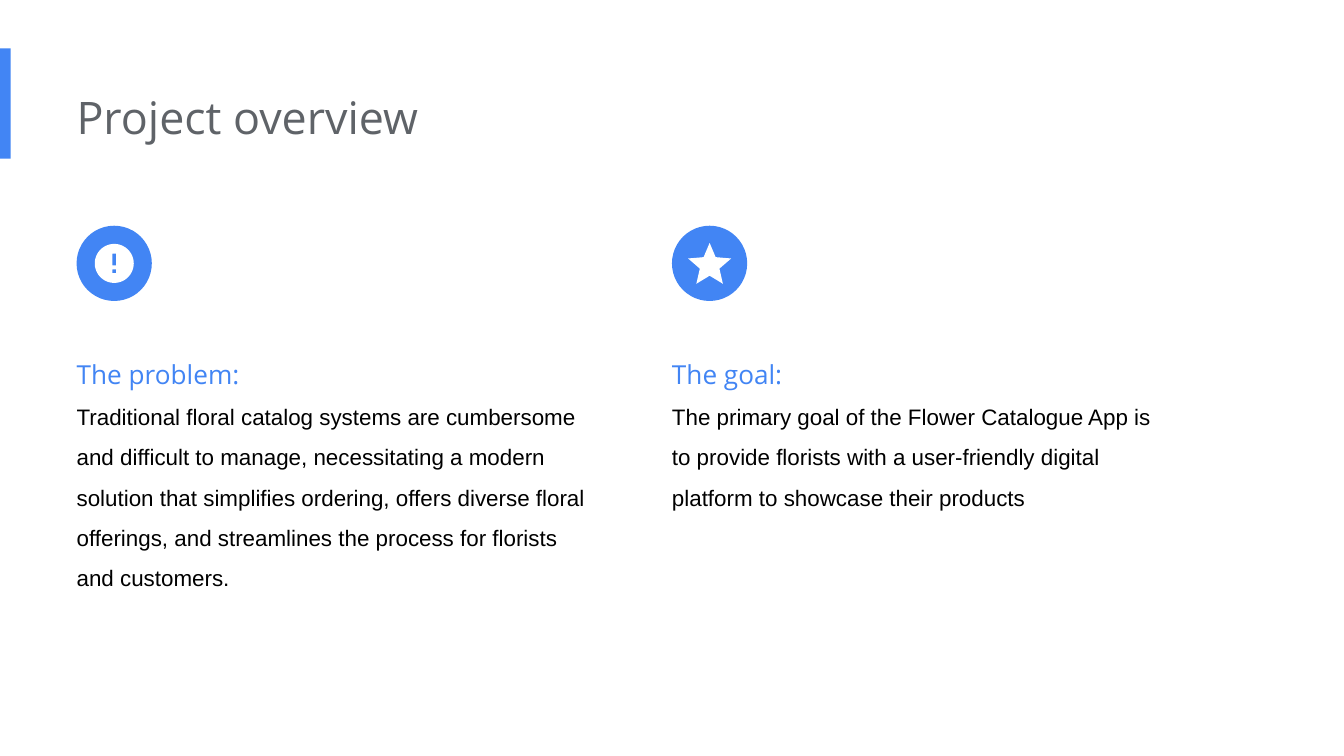
from math import cos, pi, sin

from pptx import Presentation
from pptx.dml.color import RGBColor
from pptx.enum.shapes import MSO_SHAPE
from pptx.enum.text import MSO_AUTO_SIZE
from pptx.util import Inches, Pt

BLUE = RGBColor(0x42, 0x85, 0xF4)
GRAY = RGBColor(0x5F, 0x63, 0x68)
BLACK = RGBColor(0, 0, 0)
WHITE = RGBColor(0xFF, 0xFF, 0xFF)

TITLE_FORMAT = {"name": "Open Sans", "size": Pt(24), "color": GRAY}
HEADING_FORMAT = {"name": "Open Sans", "size": Pt(14), "color": BLUE}
BODY_FORMAT = {"name": "Arial", "size": Pt(12), "color": BLACK}

# Icon outlines, measured from the icon centre; icons are 20 units wide
DISC = [(10 * sin(2 * pi * i / 72), -10 * cos(2 * pi * i / 72)) for i in range(72)]
MARK_BAR = [(-1, -5), (-1, 1), (1, 1), (1, -5)]
MARK_DOT = [(-1, 3), (-1, 5), (1, 5), (1, 3)]
HALF_STAR = [(0, -9.5), (2.81, -2.87), (10, -2.26), (4.54, 2.47), (6.18, 9.5), (0, 5.77)]
STAR = HALF_STAR + [(-x, y) for x, y in HALF_STAR[-2:0:-1]]

TITLE = "Project overview"
COLUMNS = [
    {
        "left": 0.57, "width": 3.95, "height": 2.37,
        "icon": [DISC, MARK_BAR, MARK_DOT], "icon_width": 0.29,
        "heading": "The problem:",
        "body": "Traditional floral catalog systems are cumbersome and difficult to manage, "
                "necessitating a modern solution that simplifies ordering, offers diverse "
                "floral offerings, and streamlines the process for florists and customers.",
    },
    {
        "left": 5, "width": 3.77, "height": 1.46,
        "icon": [STAR], "icon_width": 0.32,
        "heading": "The goal:",
        "body": "The primary goal of the Flower Catalogue App is to provide florists with a "
                "user-friendly digital platform to showcase their products",
    },
]
BADGE_TOP, BADGE_SIZE = 1.68, 0.56
TEXT_TOP = 2.45


def paint(shape, color):
    shape.shadow.inherit = False
    shape.fill.solid()
    shape.fill.fore_color.rgb = color
    shape.line.fill.background()


def add_filled(slide, kind, box, color):
    paint(slide.shapes.add_shape(kind, *map(Inches, box)), color)


def add_text(slide, box, paragraphs, line_spacing=None):
    """Add a text box from (text, font format) pairs, one per paragraph."""
    frame = slide.shapes.add_textbox(*map(Inches, box)).text_frame
    frame.word_wrap = True
    frame.auto_size = MSO_AUTO_SIZE.SHAPE_TO_FIT_TEXT
    frame.margin_left = 0
    frame.margin_top = frame.margin_right = frame.margin_bottom = Inches(0.1)
    for index, (text, font_format) in enumerate(paragraphs):
        paragraph = frame.add_paragraph() if index else frame.paragraphs[0]
        paragraph.line_spacing = line_spacing
        run = paragraph.add_run()
        run.text = text
        for name, value in font_format.items():
            if name == "color":
                run.font.color.rgb = value
            else:
                setattr(run.font, name, value)


def add_icon(slide, contours, center_x, center_y, width):
    """Draw closed contours as one freeform; inner contours become holes."""
    unit = width / 20
    builder = None
    for contour in contours:
        points = [(Inches(center_x + x * unit), Inches(center_y + y * unit))
                  for x, y in contour]
        if builder is None:
            builder = slide.shapes.build_freeform(*points[0])
        else:
            builder.move_to(*points[0])
        builder.add_line_segments(points[1:], close=True)
    paint(builder.convert_to_shape(), WHITE)


def main():
    presentation = Presentation()
    presentation.slide_width = Inches(10)
    presentation.slide_height = Inches(10 * 9 / 16)
    slide = presentation.slides.add_slide(presentation.slide_layouts[6])

    add_filled(slide, MSO_SHAPE.RECTANGLE, (0, 0.36, 0.08, 0.82), BLUE)
    add_text(slide, (0.57, 0.57, 6.73, 0.61), [(TITLE, TITLE_FORMAT)])
    for column in COLUMNS:
        left = column["left"]
        add_text(slide, (left, TEXT_TOP, column["width"], column["height"]),
                 [(column["heading"], HEADING_FORMAT), (column["body"], BODY_FORMAT)],
                 line_spacing=1.5)
        add_filled(slide, MSO_SHAPE.OVAL, (left, BADGE_TOP, BADGE_SIZE, BADGE_SIZE), BLUE)
        add_icon(slide, column["icon"], left + BADGE_SIZE / 2,
                 BADGE_TOP + BADGE_SIZE / 2, column["icon_width"])

    presentation.save("out.pptx")


if __name__ == "__main__":
    main()
